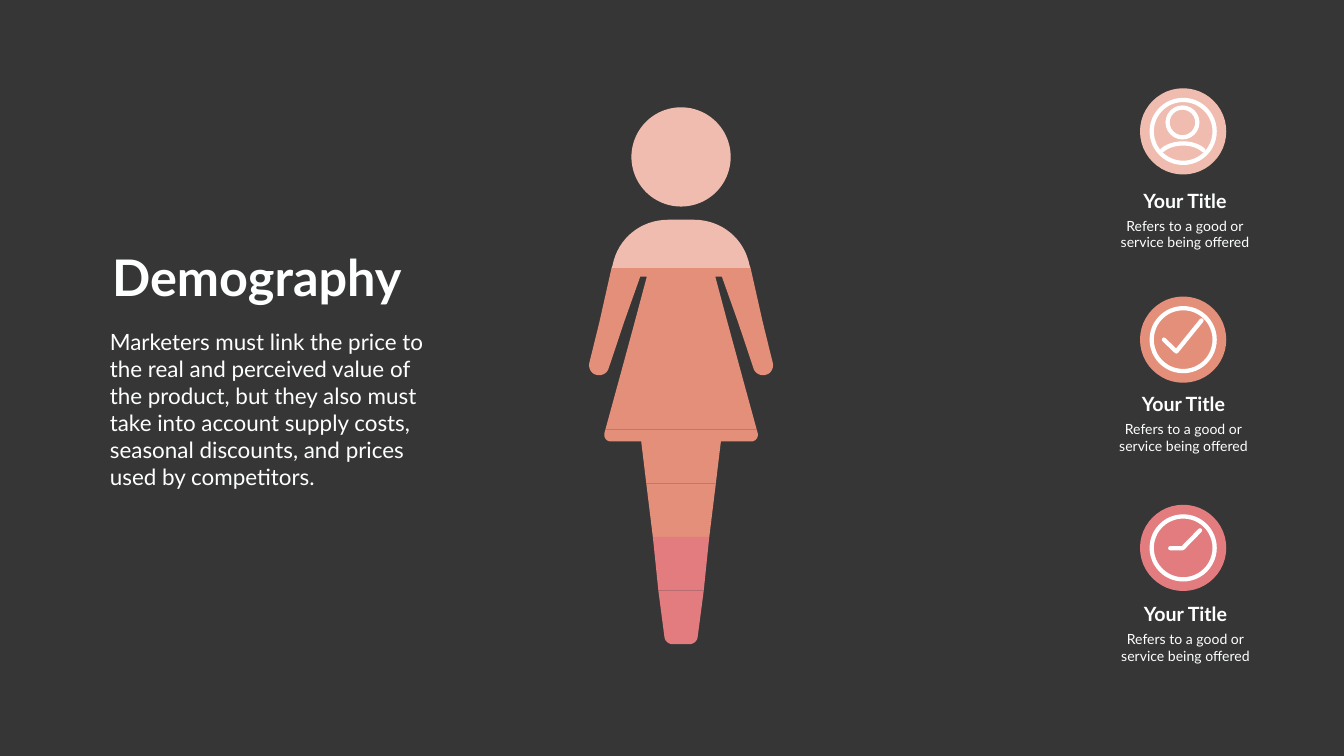
from lxml.etree import SubElement
from pptx import Presentation
from pptx.dml.color import RGBColor
from pptx.enum.shapes import MSO_SHAPE as SHAPE
from pptx.enum.text import MSO_AUTO_SIZE as FIT, PP_ALIGN as ALIGN
from pptx.oxml.ns import qn
from pptx.util import Pt

COLORS = {
    "background": "363636",
    "top": "EFBCAF",
    "middle": "E48F79",
    "bottom": "E27C7F",
    "icon": "FFFFFF",
    "text": "FEFFFF",
}
COLORS = {name: RGBColor.from_string(value) for name, value in COLORS.items()}

deck = Presentation()
deck.slide_width, deck.slide_height = Pt(1919.5), Pt(1080)
slide = deck.slides.add_slide(deck.slide_layouts[6])
slide.background.fill.solid()
slide.background.fill.fore_color.rgb = COLORS["background"]


def curve(p0, p1, p2, p3, steps=16):
    """Points along a cubic Bezier curve."""
    points = []
    for step in range(steps + 1):
        t = step / steps
        weights = ((1 - t) ** 3, 3 * t * (1 - t) ** 2, 3 * t * t * (1 - t), t ** 3)
        points.append(tuple(
            sum(w * p[axis] for w, p in zip(weights, (p0, p1, p2, p3)))
            for axis in (0, 1)))
    return points


def outline(points, color, closed=True):
    """A filled outline, or an open stroke with round ends."""
    points = [(Pt(x), Pt(y)) for x, y in points]
    builder = slide.shapes.build_freeform(*points[0], scale=1.0)
    builder.add_line_segments(points[1:], close=closed)
    shape = builder.convert_to_shape()
    shape.shadow.inherit = False
    if closed:
        shape.fill.solid()
        shape.fill.fore_color.rgb = color
        shape.line.fill.background()
    else:
        shape.fill.background()
        shape.line.color.rgb = color
        shape.line.width = Pt(6.1)
        stroke = shape.line._get_or_add_ln()
        stroke.set("cap", "rnd")
        SubElement(stroke, qn("a:round"))


# Figure: the left half of each band is mirrored on the axis
AXIS = 972.7
shoulders = [(873.4, 383),
             *curve((874.8, 379.4), (882, 341.3), (914.4, 313.9), (954.7, 313.9))]
chest = [(906.5, 460), (923.8, 395.3), (914.4, 395.3),
         (891.4, 460), (856.1, 460), (873.4, 383)]
waist = [(885.6, 537), (906.5, 460)]
skirt = [(864.7, 613.4), (885.6, 537)]
hem = [(864.7, 613.4),
       *curve((863.3, 618.5), (861.8, 625), (866.2, 630.7), (872.6, 630.7)),
       (915.8, 630.7), (923, 690.5)]
knees = [(923, 690.5), (932.4, 767)]
calves = [(932.4, 767), (940.3, 843.8)]
feet = [(940.3, 843.8),
        *curve((949, 910.1), (949.7, 915.8), (954.7, 920.2), (960.5, 920.2))]
bands = [(shoulders, "top"), (chest, "middle"), (waist, "middle"),
         (skirt, "middle"), (hem, "middle"), (knees, "middle"),
         (calves, "bottom"), (feet, "bottom")]
for half, color in bands:
    mirrored = [(2 * AXIS - x, y) for x, y in reversed(half)]
    outline(half + mirrored, COLORS[color])

arm = [(891.4, 460), (856.1, 460),
       *curve((841.7, 518.4), (840.2, 525.6), (843.8, 532.8), (850.3, 535)),
       *curve((850.3, 535), (858.2, 537.8), (866.2, 534.2), (869, 527))]
for side in (arm, [(2 * AXIS - x, y) for x, y in arm]):
    outline(side, COLORS["middle"])

# Head, icon discs and rings: centre, diameter, colour, ring thickness
ICON_X, ICON_Y, ICON_STEP = 1689.8, 187.7, 297.5
levels = ["top", "middle", "bottom"]
icon_centers = [(ICON_X, ICON_Y + ICON_STEP * row) for row in range(len(levels))]
rounds = [(AXIS, 224.2, 141.8, "top", 0)]
for (x, y), level in zip(icon_centers, levels):
    rounds += [(x, y, 123.2, level, 0), (x, y, 96, "icon", 6.1)]
rounds.append((ICON_X - 1, ICON_Y - 12.8, 48.6, "icon", 6.1))
for x, y, size, color, thickness in rounds:
    kind = SHAPE.DONUT if thickness else SHAPE.OVAL
    disc = slide.shapes.add_shape(
        kind, Pt(x - size / 2), Pt(y - size / 2), Pt(size), Pt(size))
    if thickness:
        disc.adjustments[0] = thickness / size
    disc.shadow.inherit = False
    disc.fill.solid()
    disc.fill.fore_color.rgb = COLORS[color]
    disc.line.fill.background()

# Icon strokes, relative to the icon centres
person = curve((-30, 27), (-15, 14), (15, 14), (29, 27))
check = [(-27.5, 0), (-9.7, 17), (26.3, -27.4)]
clock = [(-18.4, 0.4), (-0.7, 0.4), (24.1, -25)]
for (x, y), marks in zip(icon_centers, (person, check, clock)):
    outline([(x + dx, y + dy) for dx, dy in marks], COLORS["icon"], closed=False)

# Texts: box, lines, size, bold, alignment, wrap
texts = [
    ((148.3, 348.5, 437, 94.3), ["Demography"], 72, True, ALIGN.CENTER, False),
    ((149.8, 465.8, 480.2, 239.8),
     ["Marketers must link the price to the real and perceived value of the "
      "product, but they also must take into account supply costs, seasonal "
      "discounts, and prices used by competitors."],
     32, False, ALIGN.LEFT, True),
]
for center, top in [(1692.4, 266.4), (1690.2, 556.6), (1693.1, 856.8)]:
    texts += [
        ((center - 69.5, top, 139, 41), ["Your Title"], 28, True, ALIGN.CENTER, True),
        ((center - 103.7, top + 40.3, 207.4, 55.4),
         ["Refers to a good or", "service being offered"],
         20, False, ALIGN.CENTER, True),
    ]
for box, lines, size, bold, align, wrap in texts:
    frame = slide.shapes.add_textbox(*map(Pt, box)).text_frame
    frame.word_wrap = wrap
    frame.auto_size = FIT.SHAPE_TO_FIT_TEXT
    frame.text = "\n".join(lines)
    for paragraph in frame.paragraphs:
        paragraph.alignment = align
        paragraph.font.name = "Lato"
        paragraph.font.size = Pt(size)
        paragraph.font.bold = bold
        paragraph.font.color.rgb = COLORS["text"]

deck.save("out.pptx")
